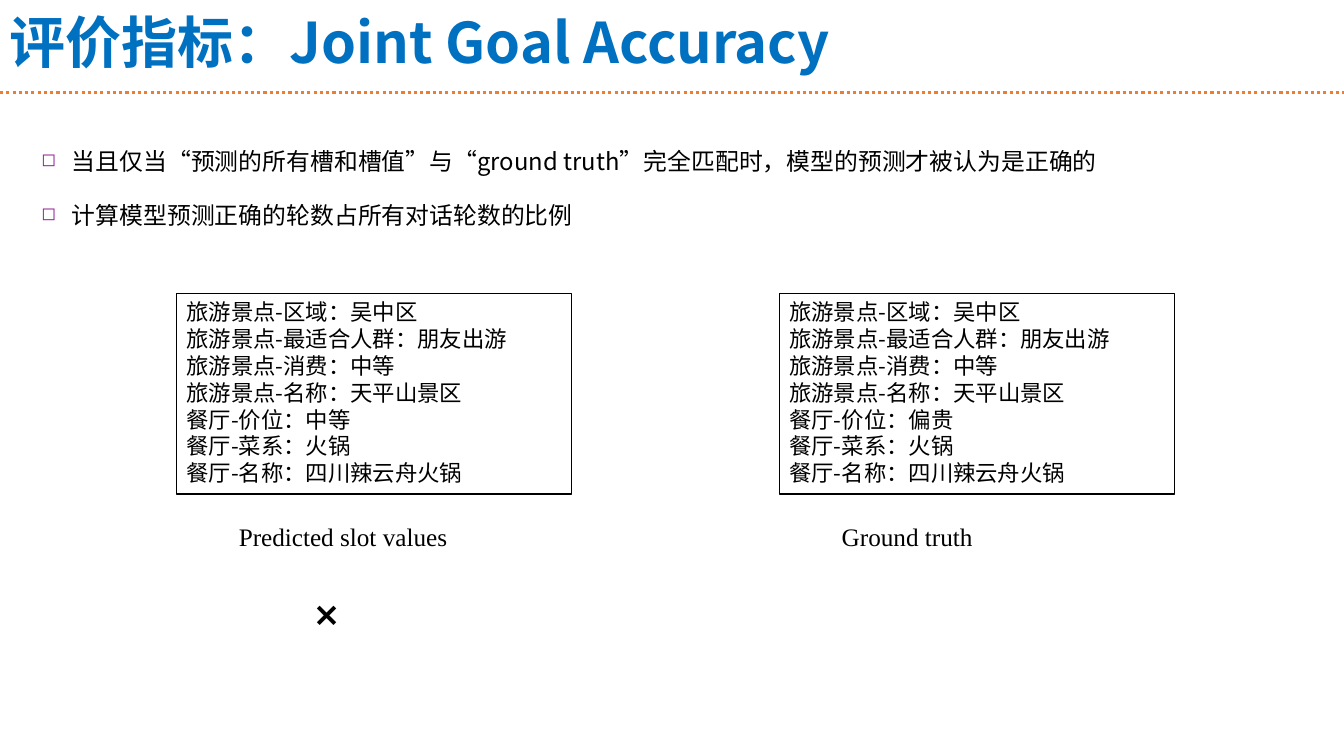
"""Build a slide that explains the Joint Goal Accuracy metric."""
from dataclasses import dataclass

from lxml import etree
from pptx import Presentation
from pptx.dml.color import RGBColor
from pptx.enum.dml import MSO_LINE
from pptx.enum.shapes import MSO_CONNECTOR, MSO_SHAPE
from pptx.enum.text import MSO_ANCHOR, PP_ALIGN
from pptx.oxml.ns import qn
from pptx.util import Inches, Pt

STRAIGHT = MSO_CONNECTOR.STRAIGHT
RECTANGLE = MSO_SHAPE.RECTANGLE
DOTTED = MSO_LINE.ROUND_DOT
TOP, MIDDLE = MSO_ANCHOR.TOP, MSO_ANCHOR.MIDDLE
LEFT = PP_ALIGN.LEFT

BLACK = RGBColor(0x00, 0x00, 0x00)
WHITE = RGBColor(0xFF, 0xFF, 0xFF)
BLUE = RGBColor(0x00, 0x70, 0xC0)
ORANGE = RGBColor(0xED, 0x7D, 0x31)
PURPLE = RGBColor(0x94, 0x20, 0x93)

SANS = "Noto Sans CJK SC"
SERIF = "Times New Roman"
SLIDE_WIDTH, SLIDE_HEIGHT = 13.33, 7.5
RULE_Y = 0.92

CRITERIA = [
    " 当且仅当“预测的所有槽和槽值”与“ground truth”完全匹配时，模型的预测才被认为是正确的",
    " 计算模型预测正确的轮数占所有对话轮数的比例",
]


@dataclass(frozen=True)
class SlotPanel:
    left: float
    caption: str
    price: str

    def slots(self) -> list[str]:
        return [
            "旅游景点-区域：吴中区",
            "旅游景点-最适合人群：朋友出游",
            "旅游景点-消费：中等",
            "旅游景点-名称：天平山景区",
            f"餐厅-价位：{self.price}",
            "餐厅-菜系：火锅",
            "餐厅-名称：四川辣云舟火锅",
        ]


PANELS = [
    SlotPanel(1.75, "Predicted slot values", "中等"),
    SlotPanel(7.73, "Ground truth", "偏贵"),
]


def add_bullet(paragraph) -> None:
    properties = paragraph._p.get_or_add_pPr()
    properties.set("marL", str(Inches(0.25)))
    properties.set("indent", str(-Inches(0.25)))
    colour = etree.SubElement(properties, qn("a:buClr"))
    etree.SubElement(colour, qn("a:srgbClr"), val=str(PURPLE))
    etree.SubElement(properties, qn("a:buSzPct"), val="75000")
    etree.SubElement(properties, qn("a:buChar"), char="◻")


def add_text(slide, lines: list[str], left: float, top: float, width: float,
             height: float, *, size: float, font: str = SANS,
             color: RGBColor = BLACK, bold: bool = False, anchor=TOP,
             spacing: float = 1.0, inset: float = 0.1, bulleted: bool = False,
             framed: bool = False) -> None:
    place = [Inches(value) for value in (left, top, width, height)]
    if framed:
        holder = slide.shapes.add_shape(RECTANGLE, *place)
        holder.shadow.inherit = False
        holder.fill.solid()
        holder.fill.fore_color.rgb = WHITE
        holder.line.color.rgb = BLACK
        holder.line.width = Pt(1)
    else:
        holder = slide.shapes.add_textbox(*place)
    frame = holder.text_frame
    frame.word_wrap = True
    frame.vertical_anchor = anchor
    frame.margin_left = Inches(inset)
    frame.text = "\n".join(lines)
    for paragraph in frame.paragraphs:
        paragraph.alignment = LEFT
        paragraph.line_spacing = spacing
        if bulleted:
            add_bullet(paragraph)
        for run in paragraph.runs:
            run.font.size = Pt(size)
            run.font.bold = bold
            run.font.color.rgb = color
            run.font.name = font
            etree.SubElement(run._r.get_or_add_rPr(), qn("a:ea"), typeface=font)


def add_title_rule(slide) -> None:
    rule = slide.shapes.add_connector(
        STRAIGHT, 0, Inches(RULE_Y), Inches(SLIDE_WIDTH), Inches(RULE_Y))
    rule.line.color.rgb = ORANGE
    rule.line.width = Pt(2.25)
    rule.line.dash_style = DOTTED
    etree.SubElement(rule._element.spPr, qn("a:effectLst"))


def add_panel(slide, panel: SlotPanel) -> None:
    add_text(slide, panel.slots(), panel.left, 2.91, 3.92, 1.99, size=16, framed=True)
    add_text(slide, [panel.caption], panel.left + 0.52, 5.12, 3.17, 0.4,
             size=18, font=SERIF)


def main() -> None:
    deck = Presentation()
    deck.slide_width, deck.slide_height = Inches(SLIDE_WIDTH), Inches(SLIDE_HEIGHT)
    slide = deck.slides.add_slide(deck.slide_layouts[6])
    add_title_rule(slide)
    add_text(slide, ["评价指标：Joint Goal Accuracy"], 0, -0.01, SLIDE_WIDTH, RULE_Y,
             size=40, color=BLUE, bold=True, anchor=MIDDLE, spacing=0.9)
    add_text(slide, CRITERIA, 0.33, 1.15, 11.32, 1.63,
             size=17, spacing=1.9, inset=0.08, bulleted=True)
    for panel in PANELS:
        add_panel(slide, panel)
    add_text(slide, ["❌"], 3.03, 5.84, 1.95, 0.5, size=24, font="Calibri")
    deck.save("out.pptx")


if __name__ == "__main__":
    main()
